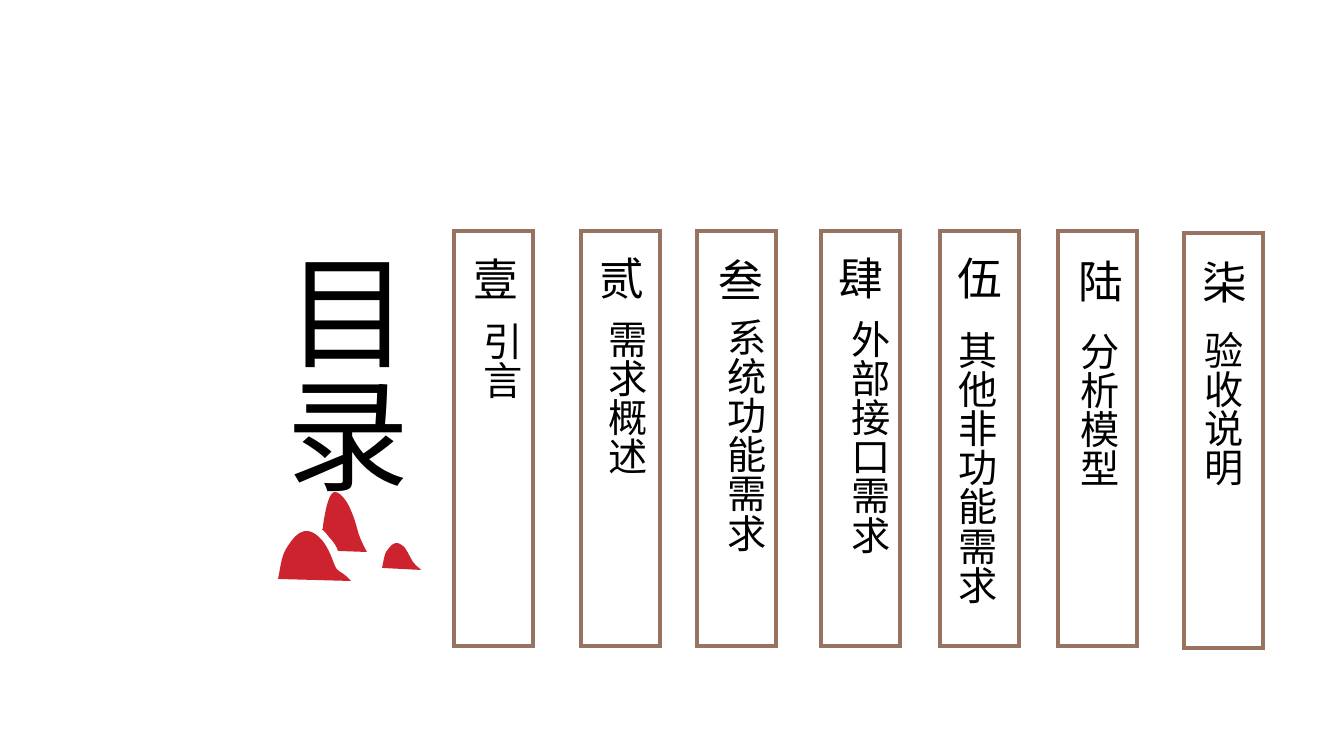
from lxml.etree import SubElement
from pptx import Presentation
from pptx.dml.color import RGBColor
from pptx.enum.shapes import MSO_SHAPE
from pptx.enum.text import MSO_ANCHOR, MSO_AUTO_SIZE, PP_ALIGN
from pptx.oxml.ns import qn
from pptx.util import Pt

PX = 914400 / 100.8
FONT = "Noto Sans CJK SC"
INK, FRAME, RED = "000000", "987362", "CD232E"
colour = RGBColor.from_string


def px(*lengths):
    return [round(length * PX) for length in lengths]


def write(box, text, size, vertical=False, anchor=MSO_ANCHOR.TOP, spacing=1.0):
    frame = box.text_frame
    frame.text = text
    frame.word_wrap = True
    frame.auto_size = MSO_AUTO_SIZE.NONE
    frame.vertical_anchor = anchor
    if vertical:
        frame._txBody.bodyPr.set("vert", "eaVert")
    para = frame.paragraphs[0]
    para.alignment = PP_ALIGN.LEFT
    para.line_spacing = spacing
    span = para.runs[0]
    span.font.name = FONT
    span.font.size = Pt(size)
    span.font.color.rgb = colour(INK)
    SubElement(span.font._element, qn("a:ea"), typeface=FONT)


deck = Presentation()
deck.slide_width, deck.slide_height = px(1344, 756)
page = deck.slides.add_slide(deck.slide_layouts[5])

# Vertical title
title = page.shapes.title
title.left, title.top, title.width, title.height = px(253, 240, 169, 272)
write(title, "目录", 88, vertical=True)
frame = title.text_frame
frame.margin_left, frame.margin_top, frame.margin_right, frame.margin_bottom = px(5, 10, 4, 10)

# Red mountains: a start point, then lines (1 point) and Bézier curves (3 points)
mountains = [
    [(382, 568), [(383, 564), (384, 556), (386, 552)],
     [(390, 547), (395, 537), (405, 548)],
     [(409, 554), (411, 559), (413, 562)],
     [(415, 565), (416, 565), (421, 570)]],
    [(335, 492), [(338, 492), (343, 495), (349, 506)],
     [(360, 530), (354, 528), (367, 552)],
     [(338, 551)], [(337, 548)],
     [(335, 544), (332, 540), (329, 537)],
     [(327, 534), (325, 532), (323, 530)],
     [(322, 530)], [(323, 528)],
     [(323, 524), (324, 520), (325, 514)],
     [(327, 504), (330, 492), (335, 492)]],
    [(278, 579), [(280, 571), (281, 557), (286, 549)],
     [(292, 540), (303, 519), (322, 540)],
     [(330, 550), (333, 562), (336, 568)],
     [(341, 574), (342, 571), (351, 581)]],
]
range_group = page.shapes.add_group_shape()
for start, *segments in mountains:
    builder = range_group.shapes.build_freeform(*px(*start))
    builder.add_line_segments([px(*segment[-1]) for segment in segments], close=True)
    mountain = builder.convert_to_shape()
    mountain.shadow.inherit = False
    mountain.fill.solid()
    mountain.fill.fore_color.rgb = colour(RED)
    mountain.line.fill.background()
    # Bend the straight segments that have control points
    sides = list(mountain._element.iter(qn("a:lnTo")))
    for side, segment in zip(sides, segments):
        if len(segment) == 3:
            side.tag = qn("a:cubicBezTo")
            side.remove(side[0])
            for point in segment:
                x, y = px(*point)
                SubElement(side, qn("a:pt"), x=str(x - mountain.left), y=str(y - mountain.top))

# Chapter panels: frame corner, numeral and its box, label and its box
chapters = [
    ((454, 231), "壹", (464, 247, 38, 64), "引言", (462, 312, 68, 357)),
    ((581, 231), "贰", (590, 246, 38, 64), "需求概述", (587, 310, 68, 357)),
    ((697, 231), "叁", (709, 248, 38, 64), "系统功能需求", (706, 308, 68, 357)),
    ((821, 231), "肆", (829, 246, 38, 64), "外部接口需求", (830, 310, 68, 367)),
    ((940, 231), "伍", (948, 236, 57, 73), "其他非功能需求", (942, 321, 78, 382)),
    ((1058, 231), "陆", (1069, 239, 59, 73), "分析模型", (1064, 322, 78, 251)),
    ((1184, 233), "柒", (1193, 240, 53, 73), "验收说明", (1188, 321, 78, 272)),
]
for number, (corner, numeral, numeral_box, label, label_box) in enumerate(chapters, 1):
    panel = page.shapes.add_shape(MSO_SHAPE.RECTANGLE, *px(*corner, 79, 415))
    panel.shadow.inherit = False
    panel.fill.background()
    panel.line.color.rgb = colour(FRAME)
    panel.line.width = Pt(2.25)
    SubElement(panel.line._get_or_add_ln(), qn("a:miter"), lim="800000")
    # The last three chapters are centred with looser lines
    anchor, spacing = (MSO_ANCHOR.MIDDLE, 1.2) if number > 4 else (MSO_ANCHOR.TOP, 1.0)
    write(page.shapes.add_textbox(*px(*numeral_box)), numeral, 32,
          anchor=anchor, spacing=spacing)
    write(page.shapes.add_textbox(*px(*label_box)), label, 28, vertical=True,
          anchor=anchor, spacing=spacing)

deck.save("out.pptx")
